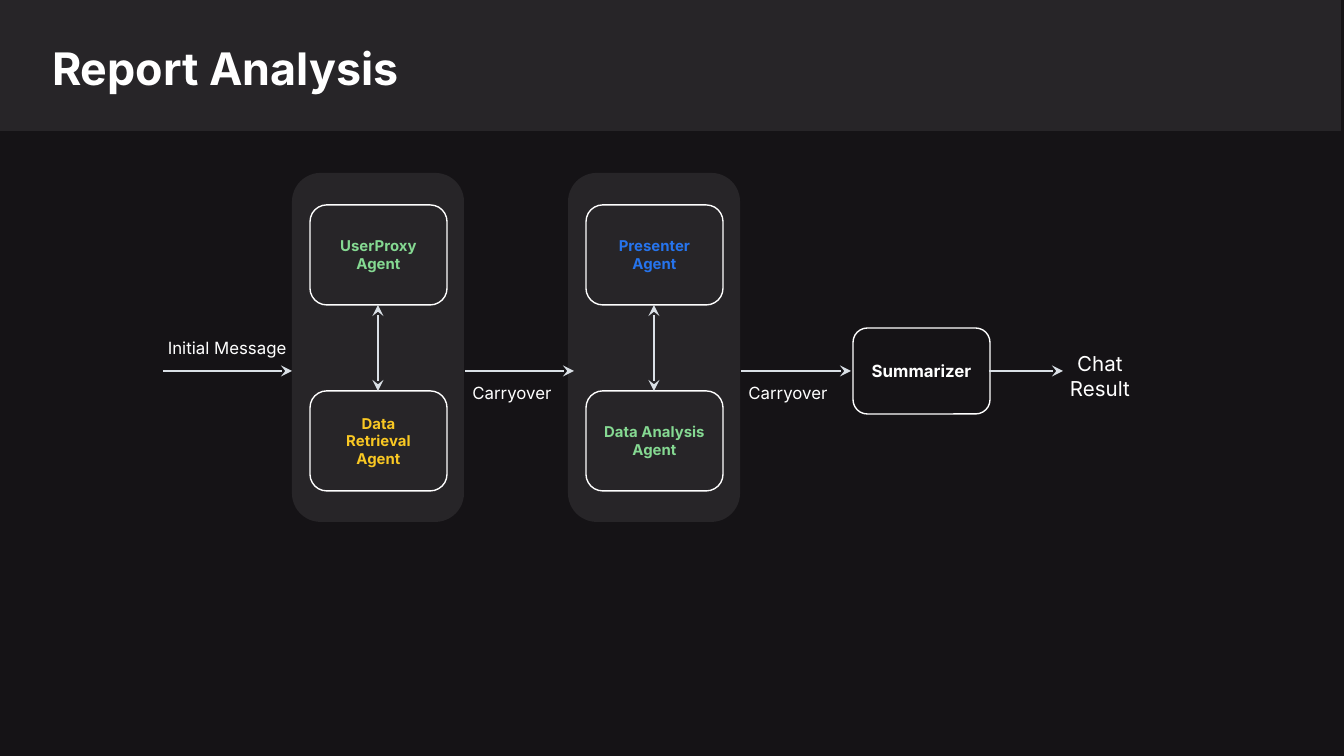
from dataclasses import dataclass

from lxml.etree import SubElement
from pptx import Presentation
from pptx.dml.color import RGBColor
from pptx.enum.shapes import MSO_CONNECTOR, MSO_SHAPE
from pptx.enum.text import MSO_ANCHOR, PP_ALIGN
from pptx.oxml.ns import qn
from pptx.shapes.autoshape import Shape
from pptx.slide import Slide
from pptx.text.text import TextFrame
from pptx.util import Emu, Pt

SLIDE_WIDTH, SLIDE_HEIGHT = 1344, 756
EMU_PER_PX = 9144000 / SLIDE_WIDTH


@dataclass(frozen=True)
class Theme:
    font: str = "Inter"
    background: str = "151316"
    panel: str = "272528"
    text: str = "FFFFFF"
    arrow: str = "DAE0E6"
    green: str = "85D992"
    yellow: str = "F9C823"
    blue: str = "2674ED"
    title_size: int = 24
    result_size: int = 11
    label_size: int = 9
    agent_size: int = 8
    outline: float = 0.75
    arrow_width: float = 1.5
    corner: float = 0.167
    inset: int = 13


@dataclass(frozen=True)
class Box:
    left: int
    top: int
    width: int
    height: int

    def emu(self) -> tuple[Emu, ...]:
        return tuple(px(n) for n in (self.left, self.top, self.width, self.height))


@dataclass(frozen=True)
class Agent:
    name: str
    color: str


@dataclass(frozen=True)
class Chat:
    """A pair of agents that talk to each other inside one panel."""
    left: int
    upper: Agent
    lower: Agent


@dataclass(frozen=True)
class Label:
    text: str
    box: Box
    size: int


@dataclass(frozen=True)
class Arrow:
    start: tuple[int, int]
    end: tuple[int, int]
    both_ways: bool = False


THEME = Theme()
PANEL_TOP, PANEL_WIDTH, PANEL_HEIGHT = 173, 172, 349
CARD_WIDTH, CARD_HEIGHT = 137, 100
UPPER_TOP, LOWER_TOP = 205, 391
FLOW_Y = 371

CHATS = [
    Chat(292, Agent("UserProxy\nAgent", THEME.green),
         Agent("Data Retrieval Agent", THEME.yellow)),
    Chat(568, Agent("Presenter\nAgent", THEME.blue),
         Agent("Data Analysis Agent", THEME.green)),
]
SUMMARIZER_BOX = Box(853, 328, 137, 86)
LABELS = [
    Label("Initial Message", Box(141, 319, 172, 58), THEME.label_size),
    Label("Carryover", Box(435, 364, 154, 58), THEME.label_size),
    Label("Carryover", Box(711, 364, 154, 58), THEME.label_size),
    Label("Chat\nResult", Box(994, 320, 212, 112), THEME.result_size),
]
FLOW_SPANS = [(163, 292), (465, 574), (741, 851), (989, 1063)]


def px(length: int) -> Emu:
    return Emu(round(length * EMU_PER_PX))


def rgb(color: str) -> RGBColor:
    return RGBColor.from_string(color)


def write(frame: TextFrame, text: str, size: int, color: str, bold: bool = False,
          align: PP_ALIGN = PP_ALIGN.CENTER,
          anchor: MSO_ANCHOR = MSO_ANCHOR.MIDDLE) -> None:
    frame.text = text
    frame.word_wrap = True
    frame.vertical_anchor = anchor
    frame.margin_left = frame.margin_right = px(THEME.inset)
    frame.margin_top = frame.margin_bottom = px(THEME.inset)
    for paragraph in frame.paragraphs:
        paragraph.alignment = align
        for run in paragraph.runs:
            run.font.name = THEME.font
            run.font.size = Pt(size)
            run.font.bold = bold
            run.font.color.rgb = rgb(color)


def add_panel(slide: Slide, kind: MSO_SHAPE, box: Box) -> Shape:
    panel = slide.shapes.add_shape(kind, *box.emu())
    panel.shadow.inherit = False
    panel.fill.solid()
    panel.fill.fore_color.rgb = rgb(THEME.panel)
    panel.line.fill.background()
    return panel


def add_card(slide: Slide, box: Box, text: str, size: int, color: str) -> None:
    card = slide.shapes.add_shape(MSO_SHAPE.ROUNDED_RECTANGLE, *box.emu())
    card.adjustments[0] = THEME.corner
    card.shadow.inherit = False
    card.fill.background()
    card.line.color.rgb = rgb(THEME.text)
    card.line.width = Pt(THEME.outline)
    write(card.text_frame, text, size, color, bold=True)


def add_label(slide: Slide, label: Label) -> None:
    caption = slide.shapes.add_textbox(*label.box.emu())
    write(caption.text_frame, label.text, label.size, THEME.text)


def add_arrow(slide: Slide, arrow: Arrow) -> None:
    ends = [px(n) for n in (*arrow.start, *arrow.end)]
    connector = slide.shapes.add_connector(MSO_CONNECTOR.STRAIGHT, *ends)
    connector.line.color.rgb = rgb(THEME.arrow)
    connector.line.width = Pt(THEME.arrow_width)
    outline = connector.line._get_or_add_ln()
    for tag in ("a:headEnd", "a:tailEnd") if arrow.both_ways else ("a:tailEnd",):
        SubElement(outline, qn(tag), type="stealth")
    SubElement(connector._element.spPr, qn("a:effectLst"))


def add_chat(slide: Slide, chat: Chat) -> None:
    panel_box = Box(chat.left, PANEL_TOP, PANEL_WIDTH, PANEL_HEIGHT)
    panel = add_panel(slide, MSO_SHAPE.ROUNDED_RECTANGLE, panel_box)
    panel.adjustments[0] = THEME.corner
    card_left = chat.left + (PANEL_WIDTH - CARD_WIDTH + 1) // 2
    for agent, top in ((chat.upper, UPPER_TOP), (chat.lower, LOWER_TOP)):
        add_card(slide, Box(card_left, top, CARD_WIDTH, CARD_HEIGHT),
                 agent.name, THEME.agent_size, agent.color)
    middle = card_left + CARD_WIDTH // 2
    add_arrow(slide, Arrow((middle, UPPER_TOP + CARD_HEIGHT), (middle, LOWER_TOP), True))


def main() -> None:
    deck = Presentation()
    deck.slide_width, deck.slide_height = px(SLIDE_WIDTH), px(SLIDE_HEIGHT)
    slide = deck.slides.add_slide(deck.slide_layouts[5])
    slide.background.fill.solid()
    slide.background.fill.fore_color.rgb = rgb(THEME.background)

    title = slide.shapes.title
    header = add_panel(slide, MSO_SHAPE.RECTANGLE, Box(0, -1, 1341, 132))
    title._element.addprevious(header._element)
    title.left, title.top, title.width, title.height = Box(39, 28, 1175, 78).emu()
    write(title.text_frame, "Report Analysis", THEME.title_size, THEME.text, bold=True,
          align=PP_ALIGN.LEFT, anchor=MSO_ANCHOR.TOP)

    for chat in CHATS:
        add_chat(slide, chat)
    add_card(slide, SUMMARIZER_BOX, "Summarizer", THEME.label_size, THEME.text)
    for start, end in FLOW_SPANS:
        add_arrow(slide, Arrow((start, FLOW_Y), (end, FLOW_Y)))
    for label in LABELS:
        add_label(slide, label)

    deck.save("out.pptx")


if __name__ == "__main__":
    main()
